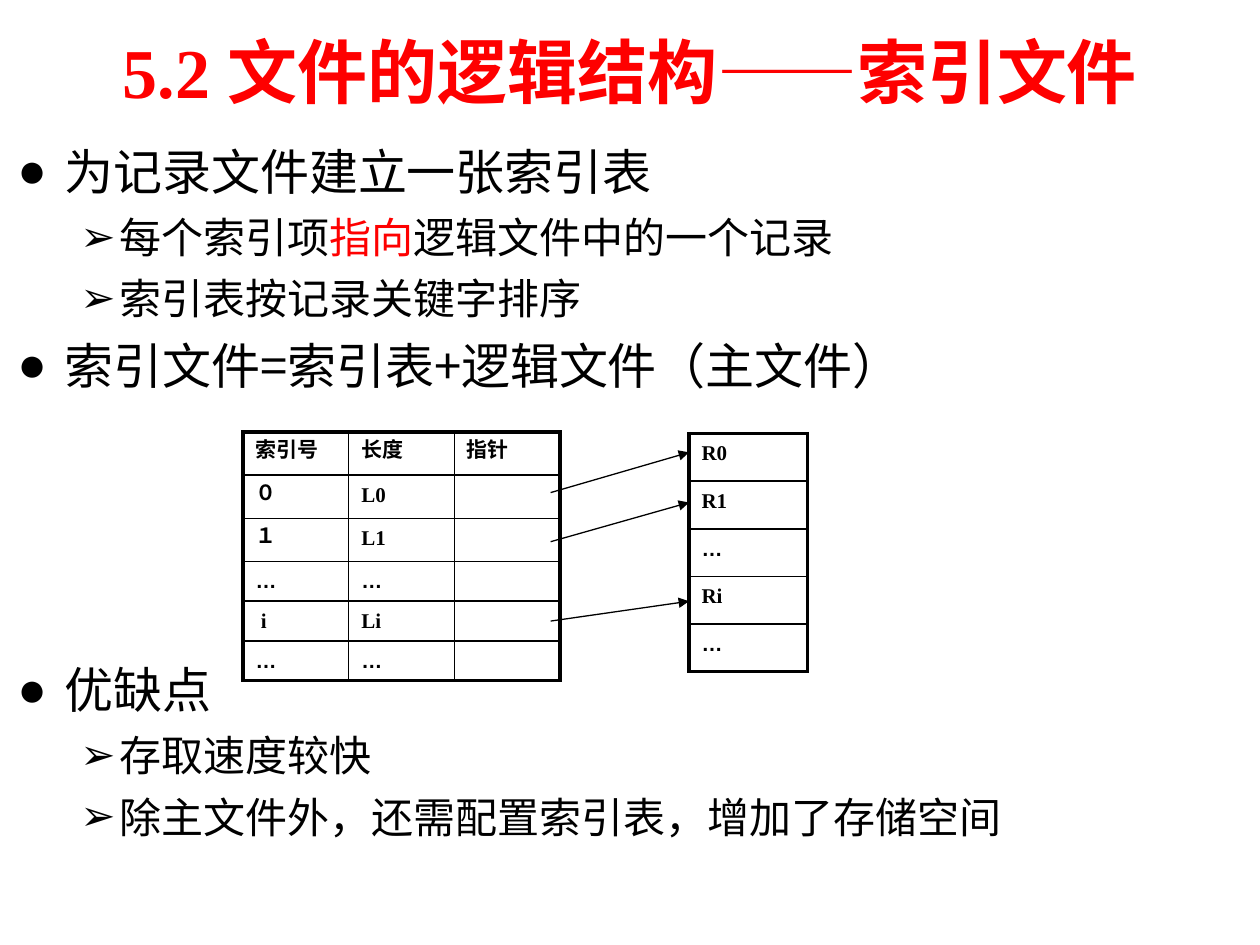
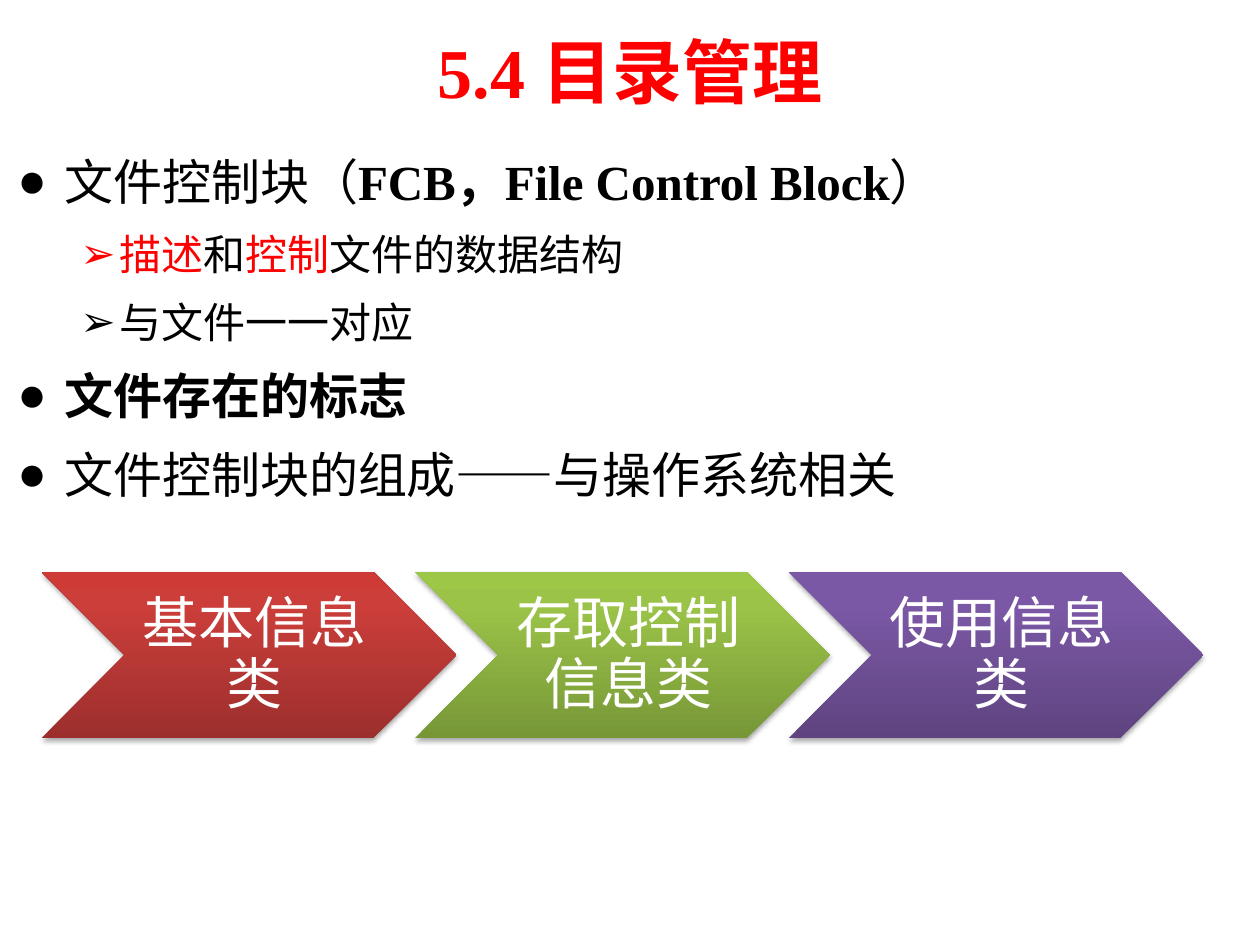
from lxml import etree
from pptx import Presentation
from pptx import util as u
from pptx.dml.color import RGBColor
from pptx.enum import shapes, text
from pptx.oxml import ns, xmlchemy

RED = RGBColor(0xFE, 0, 0)
BLACK = RGBColor(0, 0, 0)
WHITE = RGBColor(255, 255, 255)
SERIF, SANS, HEI, ROUND = "Times New Roman", "Arial", "Noto Sans CJK SC", "Calibri"
LEVELS = [
    {"size": 28, "mark": "●", "left": 0.95, "hang": 0.95},
    {"size": 24, "mark": "➢", "left": 2.06, "hang": 0.79},
]
LINE_FACTOR = 1.21
THICK, THIN = 2.25, 1

INDEX_ROWS = [
    ["索引号", "长度", "指针"], ["０", "L0", ""], ["１", "L1", ""],
    ["…", "…", ""], [" i", "Li", ""], ["…", "…", ""],
]
INDEX_HEIGHTS = [0.87] * 3 + [0.8] * 3
RECORD_ROWS = [["R0"], ["R1"], ["…"], ["Ri"], ["…"]]
RECORD_HEIGHTS = [0.96] * 5
POINTERS = [(9.93, 9.12), (10.92, 10.13), (12.52, 12.12)]
CATEGORIES = [
    ("基本信息类", ("9C2F2D", "CB3E3A", "CE3B37")),
    ("存取控制信息类", ("779737", "9BC348", "9DC746")),
    ("使用信息类", ("5F4480", "7B58A6", "7C57A8")),
]


def add_xml(parent, tag, **attributes):
    """Append a drawing element and return it."""
    return etree.SubElement(parent, ns.qn(tag), attributes)


def style_run(run, size, font=HEI, color=BLACK, bold=False):
    """Give a run its font, with a matching East Asian face."""
    run.font.size = u.Pt(size)
    run.font.name = font
    run.font.bold = bold
    run.font.color.rgb = color
    add_xml(run._r.rPr, "a:ea", typeface=HEI)


def space_lines(paragraph, size, before, after, factor=LINE_FACTOR):
    """Set line height and gaps in proportion to the text size."""
    paragraph.line_spacing = u.Pt(round(size * factor, 1))
    paragraph.space_before = u.Pt(round(size * before, 1))
    paragraph.space_after = u.Pt(round(size * after, 1))


def add_title(slide, title):
    """Add the centred red heading."""
    heading = slide.shapes.add_textbox(u.Cm(1.27), u.Cm(0.13), u.Cm(22.86), u.Cm(2.59))
    frame = heading.text_frame
    frame.word_wrap = True
    frame.vertical_anchor = text.MSO_ANCHOR.MIDDLE
    frame.text = title
    frame.paragraphs[0].alignment = text.PP_ALIGN.CENTER
    style_run(frame.paragraphs[0].runs[0], 40, SERIF, RED, True)


def add_outline(slide, top, height, points, after):
    """Add bulleted points, each a level and its (wording, style) pieces."""
    outline = slide.shapes.add_textbox(u.Cm(0.1), u.Cm(top), u.Cm(25.3), u.Cm(height))
    frame = outline.text_frame
    frame.word_wrap = True
    for number, (level, pieces) in enumerate(points):
        point = frame.add_paragraph() if number else frame.paragraphs[0]
        look = LEVELS[level]
        point.level = level
        space_lines(point, look["size"], 0.2, after)
        for wording, style in pieces:
            run = point.add_run()
            run.text = wording
            style_run(run, look["size"], **style)
        properties = point._p.get_or_add_pPr()
        properties.set("marL", str(u.Cm(look["left"])))
        properties.set("indent", str(-u.Cm(look["hang"])))
        add_xml(properties, "a:buFont", typeface=SANS)
        add_xml(properties, "a:buChar", char=look["mark"])
    return frame.paragraphs


def set_borders(cell, widths):
    """Draw the black cell edges in the order left, right, top, bottom."""
    properties = cell._tc.get_or_add_tcPr()
    for position, (edge, width) in enumerate(zip("LRTB", widths)):
        line = xmlchemy.OxmlElement(f"a:ln{edge}")
        line.set("w", str(u.Pt(width)))
        add_xml(add_xml(line, "a:solidFill"), "a:srgbClr", val=str(BLACK))
        properties.insert(position, line)


def add_grid(slide, left, top, column_width, heights, rows):
    """Add a plain table with a thick frame and thin inner lines."""
    last_row, last_column = len(rows) - 1, len(rows[0]) - 1
    grid = slide.shapes.add_table(
        len(rows), len(rows[0]), u.Cm(left), u.Cm(top),
        u.Cm(column_width * len(rows[0])), u.Cm(sum(heights))).table
    grid.first_row = grid.horz_banding = False
    for column in grid.columns:
        column.width = u.Cm(column_width)
    for r, entries in enumerate(rows):
        grid.rows[r].height = u.Cm(heights[r])
        for c, entry in enumerate(entries):
            cell = grid.cell(r, c)
            cell.text = entry
            cell.fill.background()
            paragraph = cell.text_frame.paragraphs[0]
            space_lines(paragraph, 12, 0.2, 0.05)
            for run in paragraph.runs:
                style_run(run, 12, SANS if entry == "…" else SERIF, BLACK, True)
            if not entry:
                add_xml(paragraph._p, "a:endParaRPr", sz="1200")
            outer = (c == 0, c == last_column, r == 0, r == last_row)
            set_borders(cell, [THICK if edge else THIN for edge in outer])


def add_pointer(slide, start, end):
    """Draw an arrow from an index entry to its record."""
    pointer = slide.shapes.add_connector(
        shapes.MSO_CONNECTOR.STRAIGHT, u.Cm(11.1), u.Cm(start), u.Cm(13.89), u.Cm(end))
    pointer.line.color.rgb = BLACK
    pointer.line.width = u.Pt(0.75)
    add_xml(pointer.line._ln, "a:tailEnd", type="triangle")
    add_xml(pointer._element.spPr, "a:effectLst")


def add_category(slide, left, label, tones):
    """Add a shaded chevron with its label."""
    chevron = slide.shapes.add_shape(
        shapes.MSO_SHAPE.CHEVRON, u.Cm(left), u.Cm(11.53), u.Cm(8.36), u.Cm(3.35))
    chevron.line.fill.background()
    properties = chevron._element.spPr
    gradient = xmlchemy.OxmlElement("a:gradFill")
    stops = add_xml(gradient, "a:gsLst")
    for share, tone in zip((0, 80, 100), tones):
        add_xml(add_xml(stops, "a:gs", pos=str(share * 1000)), "a:srgbClr", val=tone)
    add_xml(gradient, "a:lin", ang=str(270 * 60000), scaled="0")
    properties.insert(2, gradient)
    shadow = add_xml(
        add_xml(properties, "a:effectLst"), "a:outerShdw", blurRad=str(u.Pt(3.1)),
        dist=str(u.Pt(1.8)), dir=str(90 * 60000), rotWithShape="0")
    add_xml(add_xml(shadow, "a:srgbClr", val=str(BLACK)), "a:alpha", val="35000")
    frame = chevron.text_frame
    frame.word_wrap = True
    frame.vertical_anchor = text.MSO_ANCHOR.MIDDLE
    frame.margin_left = u.Cm(0.23)
    frame.margin_right = u.Cm(0)
    frame.margin_top = frame.margin_bottom = u.Cm(0.13)
    frame.text = label
    paragraph = frame.paragraphs[0]
    paragraph.alignment = text.PP_ALIGN.CENTER
    space_lines(paragraph, 32, 0, 0.35, 1.08)
    style_run(paragraph.runs[0], 32, ROUND, WHITE)


def build_index_slide(slide):
    """Explain the indexed file."""
    add_title(slide, "5.2 文件的逻辑结构——索引文件")
    points = add_outline(slide, 2.72, 14.4, [
        (0, [("为记录文件建立一张索引表", {})]),
        (1, [("每个索引项", {}), ("指向", {"color": RED}), ("逻辑文件中的一个记录", {})]),
        (1, [("索引表按记录关键字排序", {})]),
        (0, [("索引文件=索引表+逻辑文件（主文件）", {})]),
        (0, [("优缺点", {})]),
        (1, [("存取速度较快", {})]),
        (1, [("除主文件外，还需配置索引表，增加了存储空间", {})]),
    ], 0.05)
    points[4].space_before = u.Pt(150)
    add_grid(slide, 4.9, 8.71, 2.13, INDEX_HEIGHTS, INDEX_ROWS)
    add_grid(slide, 13.89, 8.74, 2.39, RECORD_HEIGHTS, RECORD_ROWS)
    for start, end in POINTERS:
        add_pointer(slide, start, end)


def build_directory_slide(slide):
    """Explain the file control block."""
    add_title(slide, "5.4 目录管理")
    serif, red = {"font": SERIF}, {"font": SERIF, "color": RED}
    add_outline(slide, 2.92, 13.79, [
        (0, [("文件控制块（", {}),
             ("FCB，File Control Block", {"font": SERIF, "bold": True}), ("）", {})]),
        (1, [("描述", red), ("和", serif), ("控制", red), ("文件的数据结构", serif)]),
        (1, [("与文件一一对应", serif)]),
        (0, [("文件存在的标志", {"font": SERIF, "bold": True})]),
        (0, [("文件控制块的组成", serif), ("——", {}), ("与操作系统相关", serif)]),
    ], 0.2)
    for number, (label, tones) in enumerate(CATEGORIES):
        add_category(slide, 0.84 + 7.53 * number, label, tones)


def main():
    """Build and save the slides."""
    deck = Presentation()
    deck.slide_width, deck.slide_height = u.Cm(25.4), u.Cm(19.05)
    for build in (build_index_slide, build_directory_slide):
        build(deck.slides.add_slide(deck.slide_layouts[6]))
    deck.save("out.pptx")


if __name__ == "__main__":
    main()
